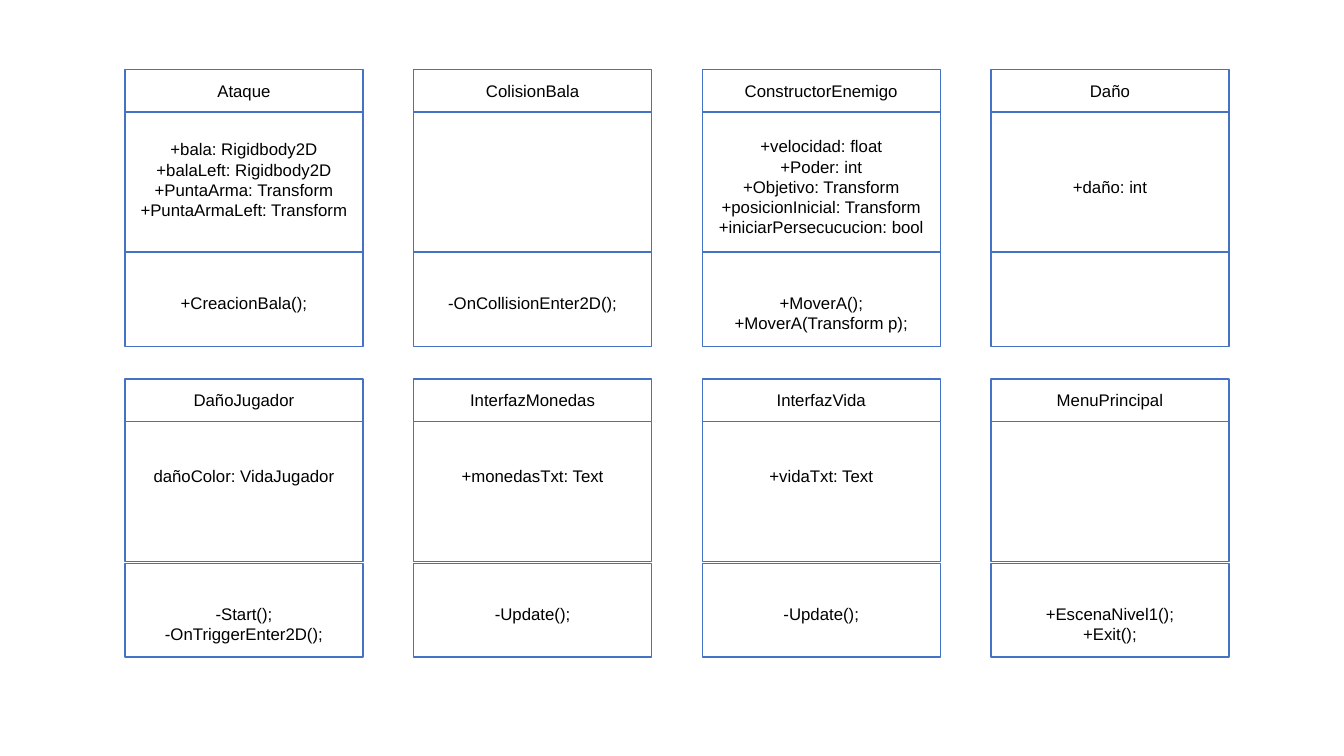
from pptx import Presentation
from pptx.dml.color import RGBColor
from pptx.enum.shapes import MSO_SHAPE as Shape
from pptx.enum.text import MSO_ANCHOR as Anchor, PP_ALIGN as Align
from pptx.util import Inches, Pt

# Classes by row: name, top inset of attributes, attributes, methods
ROWS = [
    [
        ("Ataque", 0.27,
         ["+bala: Rigidbody2D", "+balaLeft: Rigidbody2D",
          "+PuntaArma: Transform", "+PuntaArmaLeft: Transform"],
         ["+CreacionBala();"]),
        ("ColisionBala", 0.24, [], ["-OnCollisionEnter2D();"]),
        ("ConstructorEnemigo", 0.24,
         ["+velocidad: float", "+Poder: int", "+Objetivo: Transform",
          "+posicionInicial: Transform", "+iniciarPersecucucion: bool"],
         ["+MoverA();", "+MoverA(Transform p);"]),
        ("Daño", 0.64, ["+daño: int"], []),
    ],
    [
        ("DañoJugador", 0.44, ["dañoColor: VidaJugador"],
         ["-Start();", "-OnTriggerEnter2D();"]),
        ("InterfazMonedas", 0.44, ["+monedasTxt: Text"], ["-Update();"]),
        ("InterfazVida", 0.44, ["+vidaTxt: Text"], ["-Update();"]),
        ("MenuPrincipal", 0.44, [], ["+EscenaNivel1();", "+Exit();"]),
    ],
]

# Grid: row top, method top and method height for each row
LEVELS = [(0.69, 2.5, 0.94), (3.76, 5.59, 0.93)]
LEFT, STEP, WIDTH = 1.24, 2.863, 2.36
HEAD, BODY = 0.42, 1.39
INSET = 0.4

BLUE = RGBColor(0x44, 0x72, 0xC4)
WHITE = RGBColor(0xFF, 0xFF, 0xFF)
BLACK = RGBColor(0, 0, 0)
FONT = {"name": "Arial", "size": Pt(12)}

deck = Presentation()
deck.slide_width, deck.slide_height = Inches(13.33), Inches(7.5)
slide = deck.slides.add_slide(deck.slide_layouts[6])


def add_part(left, top, height, lines, inset=0.05, anchor=Anchor.TOP):
    box = slide.shapes.add_shape(
        Shape.RECTANGLE, *map(Inches, (left, top, WIDTH, height)))
    box.shadow.inherit = False
    box.fill.solid()
    box.fill.fore_color.rgb = WHITE
    box.line.color.rgb = BLUE
    box.line.width = Pt(1)
    frame = box.text_frame
    frame.word_wrap = True
    frame.vertical_anchor = anchor
    frame.margin_top = Inches(inset)
    for i, line in enumerate(lines):
        para = frame.add_paragraph() if i else frame.paragraphs[0]
        para.alignment = Align.CENTER
        run = para.add_run()
        run.text = line
        for key, value in FONT.items():
            setattr(run.font, key, value)
        run.font.color.rgb = BLACK


# Each class: name, attributes, methods
for row, (top, low, depth) in zip(ROWS, LEVELS):
    for col, (name, inset, fields, methods) in enumerate(row):
        left = LEFT + col * STEP
        add_part(left, top, HEAD, [name], anchor=Anchor.MIDDLE)
        add_part(left, top + HEAD, BODY, fields, inset)
        add_part(left, low, depth, methods, INSET)

deck.save("out.pptx")
